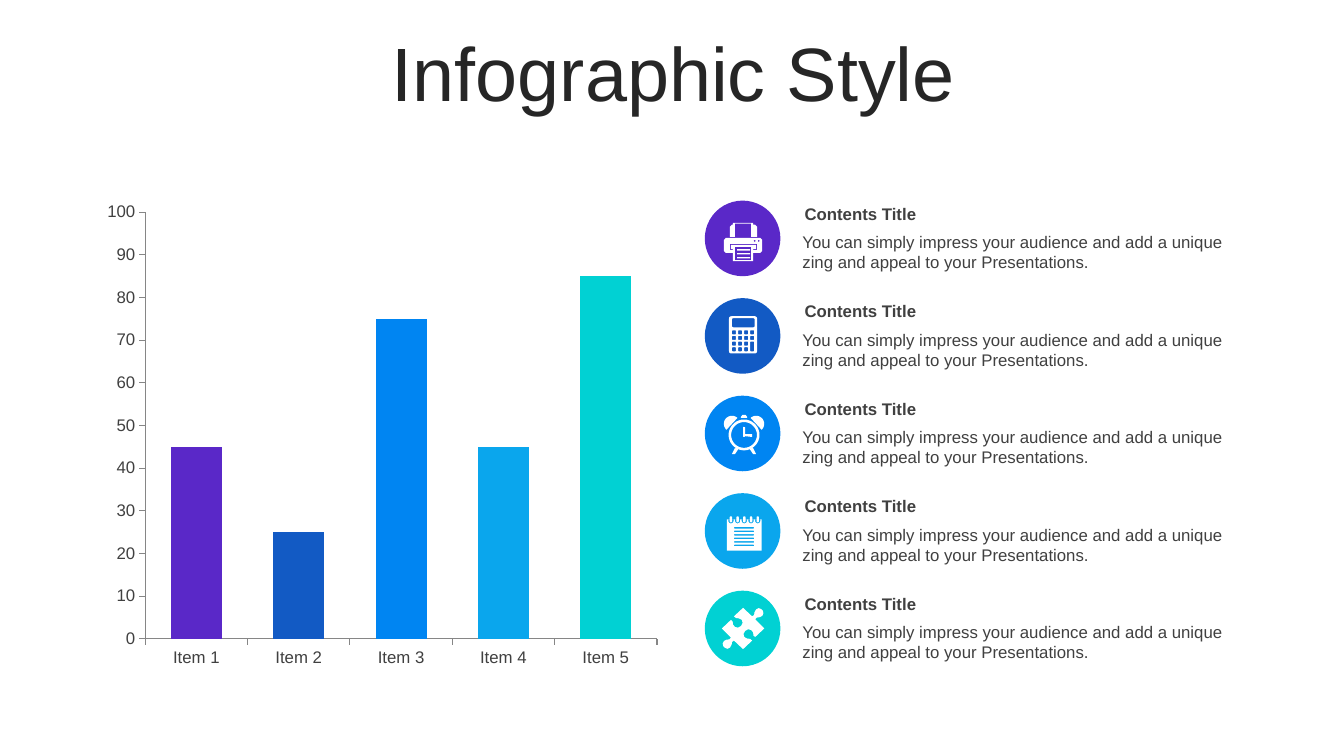
from math import cos, radians, sin

from pptx import Presentation
from pptx.chart.data import CategoryChartData
from pptx.dml.color import RGBColor
from pptx.enum.chart import XL_CHART_TYPE as ChartType, XL_TICK_MARK as TickMark
from pptx.enum.shapes import MSO_SHAPE as Preset
from pptx.enum.text import MSO_ANCHOR as Anchor, PP_ALIGN as Align
from pptx.util import Inches, Pt

# Content
TITLE = "Infographic Style"
HEADING = "Contents Title"
BODY = ("You can simply impress your audience and add a unique "
        "zing and appeal to your Presentations.")
ITEMS = [  # category, value, colour, icon
    ("Item 1", 45, "5A28C8", "printer"),
    ("Item 2", 25, "125AC4", "calculator"),
    ("Item 3", 75, "0085F2", "clock"),
    ("Item 4", 45, "0AA6ED", "notepad"),
    ("Item 5", 85, "01D1D3", "puzzle"),
]
THEME = {"font": "Arial", "title": "262626", "text": "404040", "axis": "868686",
         "icon": "FFFFFF", "title_size": 54, "text_size": 12}

# Layout in inches
TITLE_BOX = (0.35, 0.37, 12.66, 0.79)
CHART_BOX = (0.95, 1.92, 5.68, 4.79)
CIRCLE_LEFT, CIRCLE_SIZE = 6.99, 0.75
TEXT_LEFT, TEXT_WIDTH = 7.86, 4.59
FIRST_TOP, ROW_STEP = 1.99, 0.9675


# Outlines in hundredths of an inch from the corner of the circle
def box(left, top, right, bottom):
    return [(left, top), (right, top), (right, bottom), (left, bottom)]


def arc(x, y, radius, start=0, end=360, step=10):
    return [(x + radius * cos(radians(angle)), y + radius * sin(radians(angle)))
            for angle in range(start, end + 1, step)]


def rounded(left, top, right, bottom, radius):
    corners = [(right - radius, bottom - radius), (left + radius, bottom - radius),
               (left + radius, top + radius), (right - radius, top + radius)]
    return [point for turn, (x, y) in enumerate(corners)
            for point in arc(x, y, radius, turn * 90, turn * 90 + 90, 30)]


def mirror(points, axis=39):
    return [(2 * axis - x, y) for x, y in points]


def printer():
    feeder = [(28, 22), (48, 22), (48, 24), (50, 24), (52, 26), (52, 36), (46, 36),
              (46, 23), (30, 23), (30, 36), (25, 36), (25, 26), (27, 24), (28, 24)]
    case = [(21, 37), (55, 37), (57, 39), (57, 50), (55, 52), (48, 52), (48, 60),
            (28, 60), (28, 52), (21, 52), (19, 50), (19, 39)]
    slot = [(25, 43), (52, 43), (52, 49), (48, 49), (48, 48), (51, 48), (51, 44),
            (26, 44), (26, 48), (28, 48), (28, 49), (25, 49)]
    lines = [box(32, top, 45, top + 1.3) for top in (48.3, 52.2, 56)]
    buttons = [arc(x, 40, 0.9) for x in (49.5, 53.5)]
    return [feeder, case, slot, box(30, 46, 46, 59), *lines, *buttons]


def calculator():
    columns, rows = (27, 33, 39, 45), (32, 37.6, 43.2, 48.8)
    keys = [rounded(x, y, x + 4, y + 4, 0.7) for x in columns for y in rows
            if x < columns[-1] or y < rows[2]]
    enter = rounded(columns[-1], rows[2], columns[-1] + 4, rows[-1] + 4, 0.7)
    return [rounded(24, 18, 52, 55, 2.5), rounded(27, 20, 49.5, 29, 1.2), *keys, enter]


def clock():
    bell = arc(27, 28, 8, 133, 313)
    leg = [(30, 52), (33, 53.5), (30, 58), (27, 58)]
    hands = rounded(38, 31, 40, 41, 0.8)[:-4] + [(40, 31.5), (40, 38.3), (47, 38.3),
                                                 (47, 41)]
    cap = [(36, 22), (36, 21), (37.5, 19), (40.5, 19), (42, 21), (42, 22)]
    return [bell, mirror(bell), leg, mirror(leg), cap,
            arc(39, 39, 15.3), arc(39, 39, 12.8), hands]


def notepad():
    outlines = [box(22, 26, 56.5, 57)]
    for column in range(5):
        x = 26 + 6.65 * column
        outlines.append([(x + 2.6, 26), *arc(x, 27.4, 2.6, 0, 180), (x - 2.6, 26)])
        outlines.append(rounded(x - 1.2, 23, x + 1.2, 29, 1.1))
    return outlines + [rounded(29, 33.6 + 3.5 * row, 49, 35.2 + 3.5 * row, 0.7)
                       for row in range(6)]


def puzzle():
    half = [(47, 25.5), (49, 24), (49.3, 21.5), (51, 18.5), (53.5, 17.3), (56, 18.3),
            (57.7, 20), (58.2, 22.5), (57, 25), (54.5, 26.3), (51.7, 26.7), (50, 28.5),
            (59, 37.5), (50, 46), (48.3, 44.5), (48, 41.5), (46, 39), (43, 38.3),
            (40, 40), (38.4, 43), (39.3, 46), (42, 47.5), (45, 47.8), (47, 49.5),
            (38, 58)]
    return [half + [(76 - x, 75 - y) for x, y in half]]


ICONS = {"printer": printer, "calculator": calculator, "clock": clock,
         "notepad": notepad, "puzzle": puzzle}


# Drawing helpers
def inches(lengths):
    return [Inches(length) for length in lengths]


def style_font(font, size, color, bold=False):
    font.name, font.size, font.bold = THEME["font"], Pt(size), bold
    font.color.rgb = RGBColor.from_string(color)


def fill_plain(shape, color):
    shape.fill.solid()
    shape.fill.fore_color.rgb = RGBColor.from_string(color)
    shape.line.fill.background()
    shape.shadow.inherit = False


def add_text(slide, text, top, height, inset, bold=False):
    text_box = slide.shapes.add_textbox(*inches((TEXT_LEFT, top, TEXT_WIDTH, height)))
    frame = text_box.text_frame
    frame.word_wrap = True
    frame.margin_left = frame.margin_right = Inches(inset)
    frame.text = text
    style_font(frame.paragraphs[0].runs[0].font, THEME["text_size"], THEME["text"], bold)


def add_icon(slide, outlines, top):
    builder = None
    for outline in outlines:
        points = [(x * 10, y * 10) for x, y in outline]
        if builder is None:
            builder = slide.shapes.build_freeform(*points[0], scale=Inches(1) / 1000)
        else:
            builder.move_to(*points[0])
        builder.add_line_segments(points[1:], close=True)
    icon = builder.convert_to_shape(Inches(CIRCLE_LEFT), Inches(top))
    fill_plain(icon, THEME["icon"])


def add_bar_chart(slide):
    data = CategoryChartData()
    data.categories = [item[0] for item in ITEMS]
    data.add_series("Series 1", [item[1] for item in ITEMS])
    chart = slide.shapes.add_chart(ChartType.COLUMN_CLUSTERED, *inches(CHART_BOX), data).chart
    chart.has_legend = chart.has_title = False
    style_font(chart.font, THEME["text_size"], THEME["text"])
    for axis in (chart.category_axis, chart.value_axis):
        axis.has_major_gridlines = False
        axis.major_tick_mark = TickMark.OUTSIDE
        axis.format.line.color.rgb = RGBColor.from_string(THEME["axis"])
        style_font(axis.tick_labels.font, THEME["text_size"], THEME["text"])
    chart.value_axis.minimum_scale, chart.value_axis.maximum_scale = 0, 100
    chart.value_axis.major_unit = 10
    plot = chart.plots[0]
    plot.gap_width, plot.vary_by_categories = 100, False
    for index, item in enumerate(ITEMS):
        bar = plot.series[0].points[index].format.fill
        bar.solid()
        bar.fore_color.rgb = RGBColor.from_string(item[2])


presentation = Presentation()
presentation.slide_width, presentation.slide_height = inches((13.33, 7.5))
slide = presentation.slides.add_slide(presentation.slide_layouts[5])

# Title
title = slide.shapes.title
title.left, title.top, title.width, title.height = inches(TITLE_BOX)
title.text_frame.text = TITLE
title.text_frame.vertical_anchor = Anchor.MIDDLE
paragraph = title.text_frame.paragraphs[0]
paragraph.alignment, paragraph.line_spacing = Align.CENTER, 0.9
style_font(paragraph.runs[0].font, THEME["title_size"], THEME["title"])

# Chart and the list beside it
add_bar_chart(slide)
for row, (_, _, color, icon_name) in enumerate(ITEMS):
    top = FIRST_TOP + ROW_STEP * row
    circle = slide.shapes.add_shape(
        Preset.OVAL, *inches((CIRCLE_LEFT, top, CIRCLE_SIZE, CIRCLE_SIZE)))
    fill_plain(circle, color)
    add_icon(slide, ICONS[icon_name](), top)
    add_text(slide, HEADING, top - 0.02, 0.3, 0.12, bold=True)
    add_text(slide, BODY, top + 0.26, 0.5, 0.1)

presentation.save("out.pptx")
